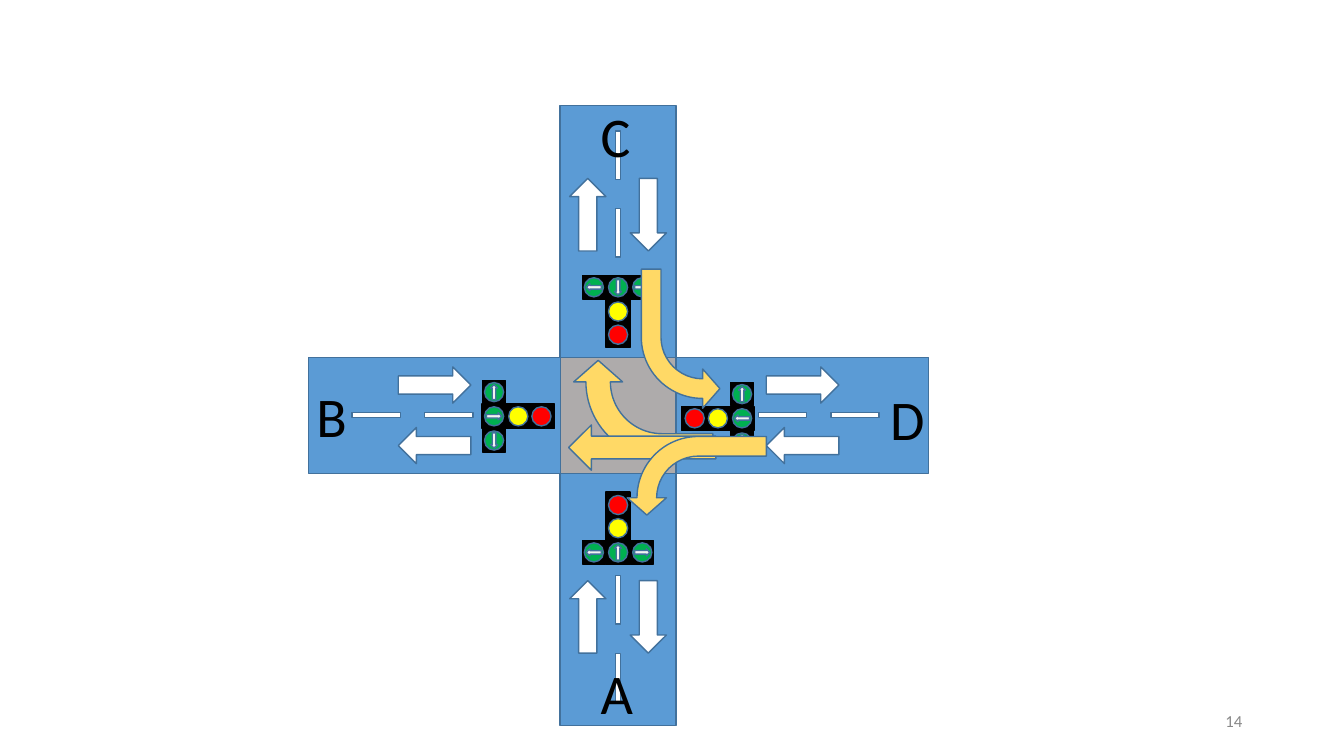
from dataclasses import dataclass
from math import cos, radians, sin

from pptx import Presentation
from pptx import util as u
from pptx.dml.color import RGBColor
from pptx.enum import shapes, text

PX = u.Inches(1) / 100
PRESET = shapes.MSO_SHAPE


@dataclass(frozen=True)
class Theme:
    font: str = "Calibri"
    road: str = "5B9BD5"
    crossing: str = "AEABAB"
    outline: str = "42719C"
    marking: str = "FFFFFF"
    housing: str = "000000"
    red: str = "FF0000"
    yellow: str = "FFFF00"
    green: str = "00B050"
    lamp_arrow: str = "F2F2F2"
    turn: str = "FFD966"
    label: str = "000000"
    page: str = "888888"
    label_size: int = 40
    page_size: int = 12


THEME = Theme()
CENTER_X, CENTER_Y = 613, 412
ROAD_WIDTH, ROAD_LENGTH = 115, 250
LANE_OFFSET = 30
LAMP_STEP = 24

# Each arm: axis, road centre, its angle, dash positions, lane arrow position
ARMS = [
    ("x", 431, 0, (373, 445), 431),
    ("x", 796, 0, (776, 848), 796),
    ("y", 595, 270, (672, 595), 612),
    ("y", 230, 90, (154, 231), 213),
]

# Each signal: centre of the middle green lamp, angle
SIGNALS = [(613, 548, 0), (613, 285, 180), (736, 415, 270), (490, 413, 90)]

# Each label: letter, left, top
LABELS = [("A", 586, 648), ("C", 586, 96), ("D", 873, 377), ("B", 304, 374)]


def emu(pixels):
    return u.Emu(round(pixels * PX))


def color(value):
    return RGBColor.from_string(value)


def add_piece(container, preset, center, size, fill, angle=0,
              line=THEME.outline, adjustments=(), flipped=False):
    """Place a preset shape by its centre."""
    (x, y), (width, height) = center, size
    shape = container.add_shape(preset, emu(x - width / 2), emu(y - height / 2),
                                emu(width), emu(height))
    shape.shadow.inherit = False
    shape.fill.solid()
    shape.fill.fore_color.rgb = color(fill)
    shape.line.color.rgb = color(line)
    shape.line.width = u.Pt(1)
    shape.rotation = angle % 360
    for index, value in enumerate(adjustments):
        shape.adjustments[index] = value
    if flipped:
        shape._element.spPr.get_or_add_xfrm().set("flipH", "1")
    return shape


def add_text(slide, words, left, top, width, height, *, size, fill,
             align=text.PP_ALIGN.LEFT, anchor=text.MSO_ANCHOR.TOP):
    frame = slide.shapes.add_textbox(emu(left), emu(top),
                                     emu(width), emu(height)).text_frame
    frame.word_wrap = True
    frame.vertical_anchor = anchor
    paragraph = frame.paragraphs[0]
    paragraph.alignment = align
    run = paragraph.add_run()
    run.text = words
    run.font.name = THEME.font
    run.font.size = u.Pt(size)
    run.font.color.rgb = color(fill)


def add_arm(container, axis, road, angle, dashes, arrows):
    def point(along, across=0):
        if axis == "x":
            return along, CENTER_Y + across
        return CENTER_X + across, along

    add_piece(container, PRESET.RECTANGLE, point(road),
              (ROAD_LENGTH, ROAD_WIDTH), THEME.road, angle)
    for dash in dashes:
        add_piece(container, PRESET.RECTANGLE, point(dash), (48, 5),
                  THEME.marking, angle)
    # Traffic keeps to the left: one arrow per lane
    near_angle = 0 if axis == "x" else 270
    for across, heading in ((-LANE_OFFSET, near_angle),
                            (LANE_OFFSET, near_angle + 180)):
        add_piece(container, PRESET.RIGHT_ARROW, point(arrows, across),
                  (72, 36), THEME.marking, heading)


def add_signal(container, x, y, angle):
    cosine, sine = cos(radians(angle)), sin(radians(angle))

    def add_part(preset, across, along, size, fill, turn=0, line=THEME.outline):
        center = (x + across * cosine - along * sine,
                  y + across * sine + along * cosine)
        add_piece(container, preset, center, size, fill, angle + turn, line)

    # T-shaped housing
    for across, along, size in ((0, -LAMP_STEP, (24, 72)),
                                (-LAMP_STEP, 0, (23, 23)),
                                (LAMP_STEP, 0, (23, 23))):
        add_part(PRESET.RECTANGLE, across, along, size, THEME.housing,
                 line=THEME.housing)
    # Lamps
    for across, along, fill in ((LAMP_STEP, 0, THEME.green),
                                (-LAMP_STEP, 0, THEME.green),
                                (0, 0, THEME.green),
                                (0, -LAMP_STEP, THEME.yellow),
                                (0, -2 * LAMP_STEP + 1, THEME.red)):
        add_part(PRESET.OVAL, across, along, (19, 19), fill)
    # Direction arrows on the green lamps
    for across, turn in ((LAMP_STEP, 0), (-LAMP_STEP, 180), (0, 270)):
        add_part(PRESET.RIGHT_ARROW, across, 0, (15, 7), THEME.lamp_arrow, turn)


def add_turns(container):
    bend = (0.25, 0.25, 0.22, 0.78)
    for preset, center, size, angle, adjustments, flipped in (
            (PRESET.BENT_ARROW, (638, 406), (97, 138), 270, bend, False),
            (PRESET.DOWN_ARROW, (637, 444), (45, 146), 90, (0.5, 0.5), False),
            (PRESET.BENT_ARROW, (691, 472), (78, 138), 270, bend, True),
            (PRESET.BENT_ARROW, (675, 336), (78, 138), 180, bend, True)):
        add_piece(container, preset, center, size, THEME.turn, angle,
                  adjustments=adjustments, flipped=flipped)


def main():
    presentation = Presentation()
    presentation.slide_width, presentation.slide_height = emu(1333), emu(750)
    slide = presentation.slides.add_slide(presentation.slide_layouts[6])

    # Intersection with its signals
    intersection = slide.shapes.add_group_shape().shapes
    add_piece(intersection, PRESET.RECTANGLE, (CENTER_X, CENTER_Y),
              (ROAD_WIDTH, ROAD_WIDTH), THEME.crossing)
    for arm in ARMS:
        add_arm(intersection, *arm)
    for signal in SIGNALS:
        add_signal(intersection, *signal)

    # Road names
    for letter, left, top in LABELS:
        add_text(slide, letter, left, top, 47, 77,
                 size=THEME.label_size, fill=THEME.label)

    # Permitted movements
    add_turns(slide.shapes.add_group_shape().shapes)

    # Page number
    add_text(slide, "14", 942, 695, 300, 40, size=THEME.page_size,
             fill=THEME.page, align=text.PP_ALIGN.RIGHT,
             anchor=text.MSO_ANCHOR.MIDDLE)

    presentation.save("out.pptx")


if __name__ == "__main__":
    main()
